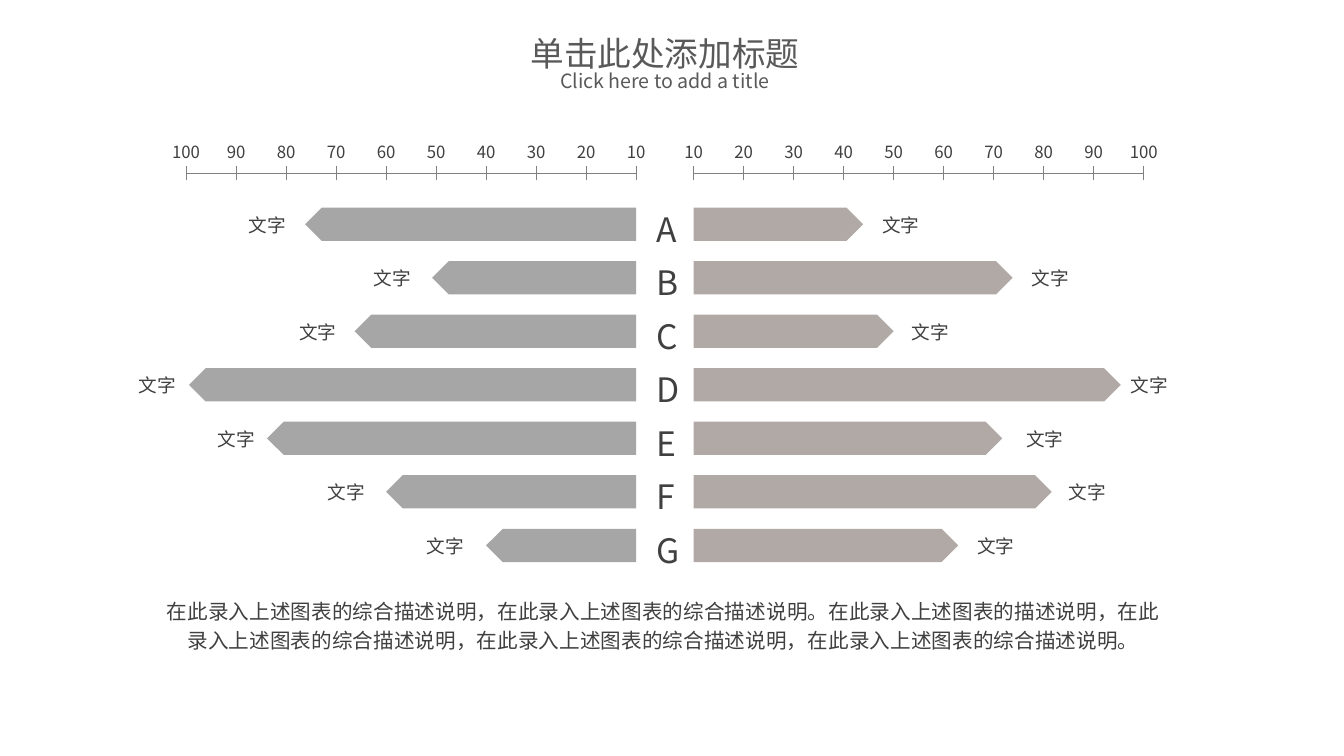
from lxml.etree import SubElement
from pptx import Presentation
from pptx.dml.color import RGBColor
from pptx.enum.shapes import MSO_CONNECTOR as Connector, MSO_SHAPE as Shape
from pptx.enum.text import MSO_ANCHOR as Anchor, MSO_AUTO_SIZE as AutoSize, PP_ALIGN as Align
from pptx.oxml.ns import qn
from pptx.util import Inches, Pt

FONT = "Noto Sans CJK SC"
TITLE_GRAY = RGBColor(0x59, 0x59, 0x59)
TEXT_GRAY = RGBColor(0x40, 0x40, 0x40)
AXIS_GRAY = RGBColor(0x80, 0x80, 0x80)
LEFT_GRAY = RGBColor(0xA6, 0xA6, 0xA6)
RIGHT_TAUPE = RGBColor(0xB1, 0xA9, 0xA5)

STEP = 0.496
ROW_PITCH = 0.531
BAR_HEIGHT = 0.33
LABEL_WIDTH = 0.57
LETTERS = "ABCDEFG"
LEFT_BARS = [(76.2, 0.09), (50.8, 0.11), (66.3, 0.08), (99.4, 0.03),
             (83.8, 0.02), (60, 0.11), (40, 0.12)]
RIGHT_BARS = [(43.9, 0.09), (73.8, 0.09), (50, 0.08), (95.4, 0),
              (71.7, 0.14), (81.6, 0.07), (62.9, 0.09)]


def write(paragraph, text, size, color=TEXT_GRAY, align=Align.LEFT, spacing=1.0):
    paragraph.alignment = align
    paragraph.line_spacing = spacing
    paragraph.space_before = Pt(0)
    run = paragraph.add_run()
    run.text = text
    run.font.name = FONT
    run.font.size = Pt(size)
    run.font.color.rgb = color
    SubElement(run.font._element, qn("a:ea")).set("typeface", FONT)


def add_text(slide, box, text, size, wrap=False, **style):
    frame = slide.shapes.add_textbox(*map(Inches, box)).text_frame
    frame.word_wrap = wrap
    write(frame.paragraphs[0], text, size, **style)


def add_line(slide, *ends):
    line = slide.shapes.add_connector(Connector.STRAIGHT, *map(Inches, ends))
    line.line.color.rgb = AXIS_GRAY
    line.line.width = Pt(0.5)
    SubElement(line._element.spPr, qn("a:effectLst"))


def add_title(slide, left, top, width, height):
    title = slide.shapes.title
    title.left, title.top, title.width, title.height = map(Inches, (left, top, width, height))
    frame = title.text_frame
    frame.auto_size = AutoSize.NONE
    frame.word_wrap = True
    frame.vertical_anchor = Anchor.MIDDLE
    frame.margin_left = frame.margin_right = frame.margin_top = frame.margin_bottom = 0
    heading = frame.paragraphs[0]
    write(heading, "单击此处添加标题", 24, color=TITLE_GRAY, align=Align.CENTER)
    heading._p.get_or_add_pPr().set("marR", str(Inches(0.16)))
    write(frame.add_paragraph(), "Click here to add a title", 14,
          color=TITLE_GRAY, align=Align.CENTER, spacing=0.8)


def add_axis(slide, origin, top, direction):
    middle = top + 0.36
    add_line(slide, origin, middle, origin + direction * 9 * STEP, middle)
    for index in range(10):
        x = origin + direction * index * STEP
        add_line(slide, x, middle + 0.07, x, middle - 0.07)
        add_text(slide, (x - 0.25, top, 0.5, 0.31), str(10 * (index + 1)), 12,
                 align=Align.CENTER)


def add_bars(slide, origin, top, direction, bars, color):
    for row, (value, gap) in enumerate(bars):
        y = top + row * ROW_PITCH
        length = (value - 10) / 10 * STEP
        tip = origin + direction * length
        bar = slide.shapes.add_shape(
            Shape.PENTAGON, Inches(min(origin, tip)), Inches(y),
            Inches(length), Inches(BAR_HEIGHT))
        bar.shadow.inherit = False
        bar.fill.solid()
        bar.fill.fore_color.rgb = color
        bar.line.fill.background()
        if direction < 0:
            bar._element.spPr.get_or_add_xfrm().set("flipH", "1")
        label_left = tip + gap if direction > 0 else tip - gap - LABEL_WIDTH
        add_text(slide, (label_left, y + 0.01, LABEL_WIDTH, 0.34), "文字", 13.3)


def add_letters(slide, left, top):
    for row, letter in enumerate(LETTERS):
        add_text(slide, (left, top + row * ROW_PITCH, 0.45, 0.53), letter, 24, wrap=True)


def add_description(slide, *box):
    text = ("在此录入上述图表的综合描述说明，在此录入上述图表的综合描述说明。"
            "在此录入上述图表的描述说明，在此录入上述图表的综合描述说明，"
            "在此录入上述图表的综合描述说明，在此录入上述图表的综合描述说明。")
    add_text(slide, box, text, 14.7, wrap=True, align=Align.CENTER, spacing=1.2)


def main():
    presentation = Presentation()
    presentation.slide_width = Inches(13.33)
    presentation.slide_height = Inches(7.5)
    slide = presentation.slides.add_slide(presentation.slide_layouts[5])
    add_title(slide, 3.96, 0.36, 5.43, 0.52)
    add_description(slide, 1.54, 5.84, 10.07, 0.69)
    for origin, direction, bars, color in ((6.31, -1, LEFT_BARS, LEFT_GRAY),
                                           (6.88, 1, RIGHT_BARS, RIGHT_TAUPE)):
        add_axis(slide, origin, 1.36, direction)
        add_bars(slide, origin, 2.06, direction, bars, color)
    add_letters(slide, 6.41, 2.02)
    presentation.save("out.pptx")


if __name__ == "__main__":
    main()
